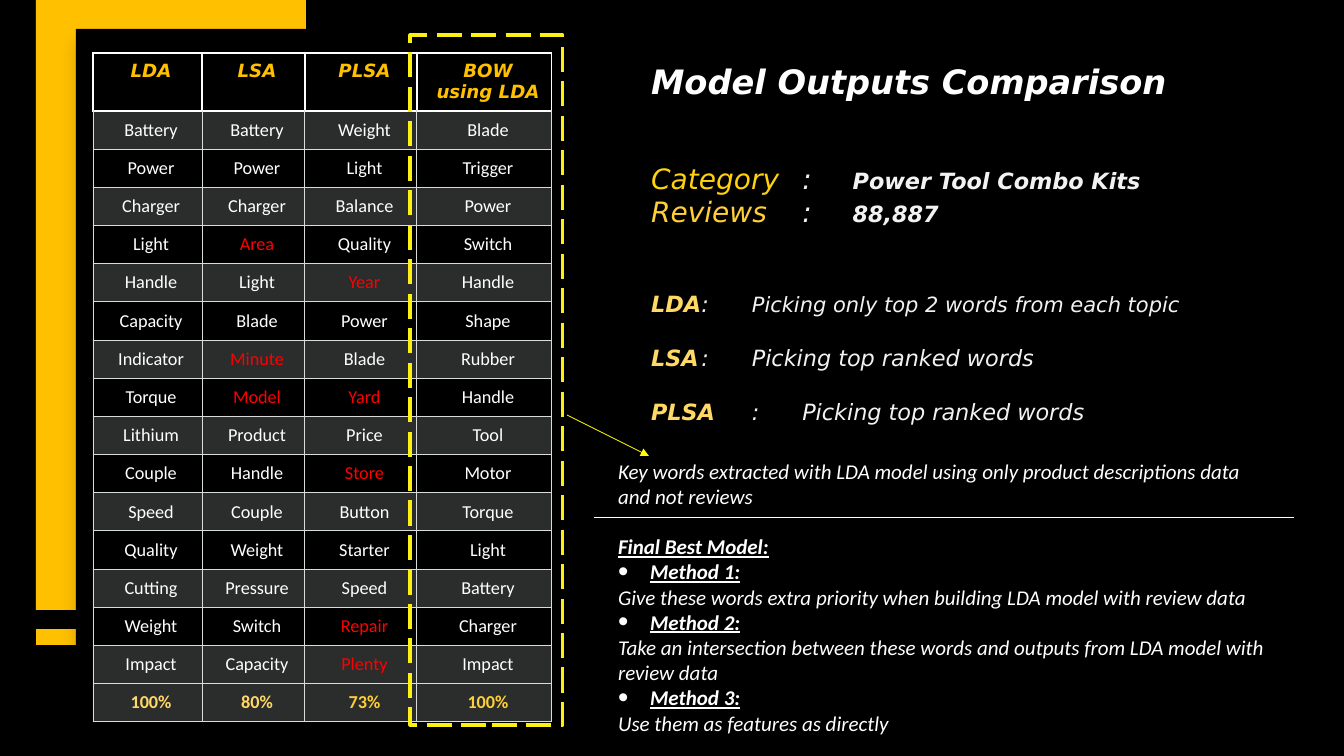
import lxml.etree
import pptx
import pptx.dml.color
import pptx.enum.dml
import pptx.enum.shapes
import pptx.enum.text
import pptx.oxml.ns
import pptx.util

RGBColor = pptx.dml.color.RGBColor
BLACK = RGBColor(0x00, 0x00, 0x00)
WHITE = RGBColor(0xFF, 0xFF, 0xFF)
PALE = RGBColor(0xF2, 0xF2, 0xF2)
AMBER = RGBColor(0xFF, 0xC0, 0x00)
GOLD = RGBColor(0xFF, 0xD2, 0x0D)
HONEY = RGBColor(0xFF, 0xCF, 0x37)
SAND = RGBColor(0xFF, 0xD9, 0x66)
YELLOW = RGBColor(0xFF, 0xFF, 0x00)
LEMON = RGBColor(0xFB, 0xF0, 0x11)
RED = RGBColor(0xFF, 0x00, 0x00)
GRID = RGBColor(0xD8, 0xDC, 0xDC)
BAND = RGBColor(0xD8, 0xDE, 0xDC)

HEADINGS = ["LDA", "LSA", "PLSA", "BOW using LDA"]
KEYWORDS = [
    "Battery Power Charger Light Handle Capacity Indicator Torque Lithium Couple Speed Quality Cutting Weight Impact",
    "Battery Power Charger Area Light Blade Minute Model Product Handle Couple Weight Pressure Switch Capacity",
    "Weight Light Balance Quality Year Power Blade Yard Price Store Button Starter Speed Repair Plenty",
    "Blade Trigger Power Switch Handle Shape Rubber Handle Tool Motor Torque Light Battery Charger Impact",
]
WRONG_WORDS = {"Area", "Minute", "Model", "Year", "Yard", "Store", "Repair", "Plenty"}
ACCURACY = [("100%", SAND), ("80%", SAND), ("73%", HONEY), ("100%", HONEY)]
COLUMN_WIDTHS = [109, 103, 112, 135]
HEADER_HEIGHT, ROW_HEIGHT = 58, 38
METHODS = [
    "Give these words extra priority when building LDA model with review data",
    "Take an intersection between these words and outputs from LDA model with review data",
    "Use them as features as directly",
]


def px(length):
    return pptx.util.Emu(round(length * 914400 / 100.8))


def child(parent, tag, **attributes):
    values = {key: str(value) for key, value in attributes.items()}
    return lxml.etree.SubElement(parent, pptx.oxml.ns.qn(tag), values)


def write(paragraph, text, size=15, color=WHITE, font="Calibri", bold=False, italic=True, underline=False):
    run = paragraph.add_run()
    run.text = text
    run.font.name, run.font.size = font, pptx.util.Pt(size)
    run.font.bold, run.font.italic, run.font.underline = bold, italic, underline
    run.font.color.rgb = color


class ComparisonSlide:
    display = "DejaVu Sans"

    def __init__(self, presentation):
        self.slide = presentation.slides.add_slide(presentation.slide_layouts[3])
        self.slide.background.fill.solid()
        self.slide.background.fill.fore_color.rgb = BLACK

    def rectangle(self, left, top, width, height, fill=None, parent=None):
        shapes = (parent or self.slide).shapes
        kind = pptx.enum.shapes.MSO_SHAPE.RECTANGLE
        box = shapes.add_shape(kind, px(left), px(top), px(width), px(height))
        box.shadow.inherit = False
        box.line.fill.background()
        if fill is None:
            box.fill.background()
        else:
            box.fill.solid()
            box.fill.fore_color.rgb = fill
        return box

    def line(self, start, end, color, weight, parent=None, arrow=False):
        shapes = (parent or self.slide).shapes
        kind = pptx.enum.shapes.MSO_CONNECTOR.STRAIGHT
        rule = shapes.add_connector(kind, *map(px, start + end))
        rule.line.color.rgb = color
        rule.line.width = pptx.util.Pt(weight)
        if arrow:
            child(rule.line._get_or_add_ln(), "a:tailEnd", type="triangle")
        child(rule._element.spPr, "a:effectLst")

    def placeholder(self, index, left, top, width, height, anchor):
        """Place a template placeholder above everything drawn so far."""
        holder = self.slide.placeholders[index]
        holder.left, holder.top, holder.width, holder.height = map(px, (left, top, width, height))
        self.slide.shapes._spTree.append(holder._element)
        frame = holder.text_frame
        frame.word_wrap = True
        frame.auto_size = pptx.enum.text.MSO_AUTO_SIZE.NONE
        frame.vertical_anchor = anchor
        return frame

    def paragraph(self, frame, before=0, tabs=(), bullet=False):
        first = frame.paragraphs[0]
        paragraph = first if not first.runs else frame.add_paragraph()
        paragraph.alignment = pptx.enum.text.PP_ALIGN.LEFT
        paragraph.space_before = pptx.util.Pt(before)
        properties = paragraph._p.get_or_add_pPr()
        indent = px(32) if bullet else 0
        properties.set("marL", str(indent))
        properties.set("indent", str(-indent))
        if bullet:
            child(child(properties, "a:buClr"), "a:srgbClr", val=WHITE)
            child(properties, "a:buSzPct", val=140000)
            child(properties, "a:buFont", typeface="Arial")
            child(properties, "a:buChar", char="•")
        else:
            child(properties, "a:buNone")
        if tabs:
            stops = child(properties, "a:tabLst")
            for stop in tabs:
                child(stops, "a:tab", pos=px(stop), algn="l")
        return paragraph

    def cell(self, cell, text, border, weight, banded, **style):
        cell.margin_left, cell.margin_right = px(16), px(9)
        cell.margin_top = cell.margin_bottom = px(8)
        paragraph = cell.text_frame.paragraphs[0]
        paragraph.alignment = pptx.enum.text.PP_ALIGN.CENTER
        write(paragraph, text, size=13, **style)
        properties = cell._tc.get_or_add_tcPr()
        for side in ("a:lnL", "a:lnR", "a:lnT", "a:lnB"):
            edge = child(properties, side, w=pptx.util.Pt(weight))
            child(child(edge, "a:solidFill"), "a:srgbClr", val=border)
        if banded:
            tint = child(child(properties, "a:solidFill"), "a:srgbClr", val=BAND)
            child(tint, "a:alpha", val=20000)
        else:
            child(properties, "a:noFill")

    def keyword_table(self, left, top):
        columns = [words.split() for words in KEYWORDS]
        last = len(columns[0]) + 1
        height = HEADER_HEIGHT + last * ROW_HEIGHT
        table = self.slide.shapes.add_table(
            last + 1, len(columns), px(left), px(top), px(sum(COLUMN_WIDTHS)), px(height)).table
        table.first_row = table.horz_banding = False
        for row_number, row in enumerate(table.rows):
            row.height = px(ROW_HEIGHT if row_number else HEADER_HEIGHT)
        for column, width in enumerate(COLUMN_WIDTHS):
            table.columns[column].width = px(width)
            self.cell(table.cell(0, column), HEADINGS[column], WHITE, 1, False,
                      color=AMBER, font=self.display, bold=True)
            for row, word in enumerate(columns[column], 1):
                self.cell(table.cell(row, column), word, GRID, 0.75, row % 2 == 1,
                          color=RED if word in WRONG_WORDS else WHITE, italic=False)
            score, color = ACCURACY[column]
            self.cell(table.cell(last, column), score, GRID, 0.75, True,
                      color=color, bold=True, italic=False)

    def panel(self):
        accent = self.slide.shapes.add_group_shape()
        self.line((304, 637), (36, 637), AMBER, 12, parent=accent)
        self.rectangle(36, 0, 270, 610, AMBER, parent=accent)
        backdrop = self.rectangle(76, 29, 674, 684, BLACK)
        effects = backdrop._element.spPr.find(pptx.oxml.ns.qn("a:effectLst"))
        shadow = child(effects, "a:outerShdw", blurRad=pptx.util.Pt(11),
                       dist=pptx.util.Pt(10), dir=90 * 60000)
        child(child(shadow, "a:srgbClr", val=BLACK), "a:alpha", val=15000)

    def summary(self, left, top):
        frame = self.placeholder(1, left, top, 623, 275, pptx.enum.text.MSO_ANCHOR.TOP)
        for label, color, value in (("Category", GOLD, "Power Tool Combo Kits"),
                                    ("Reviews", HONEY, "88,887")):
            fact = self.paragraph(frame, tabs=(137, 163))
            write(fact, label, size=20, color=color, font=self.display)
            write(fact, "\t:\t", size=20, color=PALE, font=self.display)
            write(fact, value, size=16, color=PALE, font=self.display, bold=True)
        for model, rule, size, before in (("LDA", "Picking only top 2 words from each topic", 15, 44),
                                          ("LSA", "Picking top ranked words", 16, 19.5),
                                          ("PLSA", "Picking top ranked words", 16, 19.5)):
            choice = self.paragraph(frame, before, tabs=(80, 109))
            write(choice, model, size=16, color=SAND, font=self.display, bold=True)
            write(choice, "\t:\t", size=16, color=PALE, font=self.display)
            write(choice, rule, size=size, color=PALE, font=self.display)

    def conclusions(self, left, top):
        frame = self.placeholder(2, left, top, 676, 300, pptx.enum.text.MSO_ANCHOR.TOP)
        write(self.paragraph(frame), "Key words extracted with LDA model using only "
              "product descriptions data and not reviews")
        write(self.paragraph(frame, before=18), "Final Best Model:", bold=True, underline=True)
        for number, advice in enumerate(METHODS, 1):
            write(self.paragraph(frame, bullet=True), f"Method {number}:", bold=True, underline=True)
            write(self.paragraph(frame), advice)


def main():
    presentation = pptx.Presentation()
    presentation.slide_width, presentation.slide_height = px(1344), px(756)
    page = ComparisonSlide(presentation)
    page.panel()
    page.keyword_table(93, 53)
    title = page.placeholder(0, 641, 55, 539, 52, pptx.enum.text.MSO_ANCHOR.BOTTOM)
    heading = page.paragraph(title)
    heading.line_spacing = 0.9
    heading.space_after = pptx.util.Pt(6)
    write(heading, "Model Outputs Comparison", size=24, font=page.display, bold=True)
    page.summary(641, 156)
    highlight = page.rectangle(410, 35, 153, 690)
    highlight.line.color.rgb = LEMON
    highlight.line.width = pptx.util.Pt(2.25)
    highlight.line.dash_style = pptx.enum.dml.MSO_LINE.LONG_DASH
    page.line((567, 415), (649, 456), YELLOW, 0.5, arrow=True)
    page.conclusions(608, 453)
    page.line((594, 517), (1294, 517), WHITE, 0.5)
    presentation.save("out.pptx")


if __name__ == "__main__":
    main()
